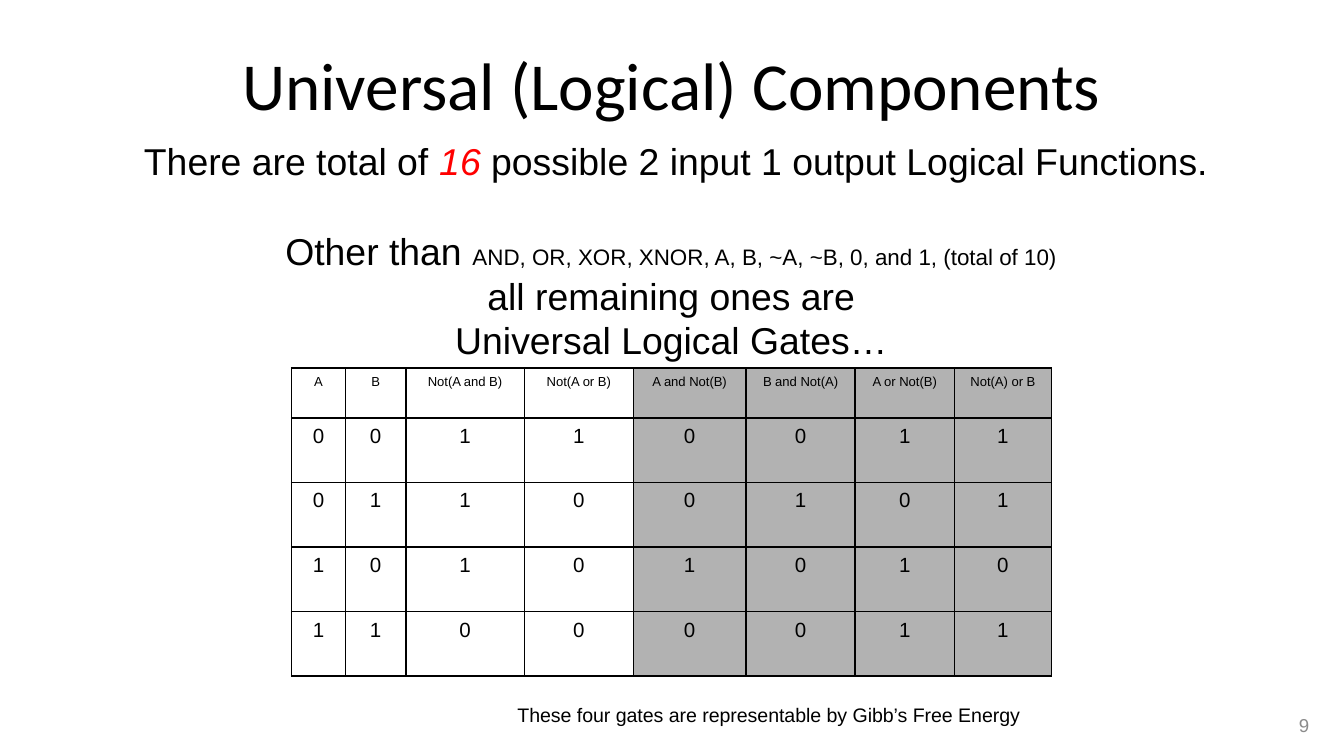
"""Build a slide on universal logical gates with their truth table."""
import lxml.etree
import pptx
import pptx.dml.color
import pptx.enum.shapes
import pptx.enum.text
import pptx.oxml.ns
import pptx.util

Cm, Pt = pptx.util.Cm, pptx.util.Pt
ALIGN = pptx.enum.text.PP_ALIGN
ANCHOR = pptx.enum.text.MSO_ANCHOR


def color(value):
    return pptx.dml.color.RGBColor.from_string(value)


def add_run(paragraph, text, size, hue="000000", font="Arial", italic=False):
    run = paragraph.add_run()
    run.text = text
    run.font.size = Pt(size)
    run.font.name = font
    run.font.italic = italic
    run.font.color.rgb = color(hue)


deck = pptx.Presentation()
deck.slide_width, deck.slide_height = Cm(25.4), Cm(14.29)
slide = deck.slides.add_slide(deck.slide_layouts[6])

labels = [
    ((4.22, 0.69, 16.94, 1.8), ALIGN.CENTER, "Universal (Logical) Components", 36, "000000", "Calibri"),
    ((24.05, 13.34, 0.94, 0.74), ALIGN.RIGHT, "9", 10, "8C8C8C", "Arial"),
    ((9.53, 13.16, 10.19, 0.71), ALIGN.LEFT,
     "These four gates are representable by Gibb’s Free Energy", 10.5, "000000", "Arial"),
]
for place, align, text, size, hue, font in labels:
    frame = slide.shapes.add_textbox(*map(Cm, place)).text_frame
    frame.word_wrap = False
    if align == ALIGN.RIGHT:
        frame.word_wrap = True
        frame.vertical_anchor = ANCHOR.MIDDLE
        frame.margin_top = frame.margin_bottom = Cm(0.25)
    frame.paragraphs[0].alignment = align
    add_run(frame.paragraphs[0], text, size, hue, font)

statement = slide.shapes.add_shape(
    pptx.enum.shapes.MSO_SHAPE.RECTANGLE, Cm(2.21), Cm(2.49), Cm(20.96), Cm(4.52))
statement.shadow.inherit = False
statement.fill.solid()
statement.fill.fore_color.rgb = color("FFFFFF")
statement.line.fill.background()
frame = statement.text_frame
frame.word_wrap = False
frame.vertical_anchor = ANCHOR.TOP
lines = [
    [(" There are total of ", 20), ("16", 20, "FF0000", "Arial", True),
     (" possible 2 input 1 output Logical Functions.", 20)],
    [("Other than ", 20), ("AND, OR, XOR, XNOR, A, B, ~A, ~B, 0, and 1, (total of 10)", 12)],
    [("all remaining ones are", 20)],
    [("Universal Logical Gates…", 20)],
]
for index, runs in enumerate(lines):
    paragraph = frame.add_paragraph() if index else frame.paragraphs[0]
    paragraph.alignment = ALIGN.CENTER
    paragraph.line_spacing = Pt(24)
    if index == 1:
        paragraph.space_before = Pt(24)
    for run in runs:
        add_run(paragraph, *run)

truth_rows = [
    ["A", "B", "Not(A and B)", "Not(A or B)", "A and Not(B)", "B and Not(A)", "A or Not(B)", "Not(A) or B"],
    "00110011",
    "01100101",
    "10101010",
    "11000011",
]
widths = [1.02, 1.14, 2.24, 2.06, 2.13, 2.06, 1.88, 1.83]
heights = [0.94] + [1.22] * 4
truth_table = slide.shapes.add_table(
    len(heights), len(widths), Cm(5.51), Cm(6.96), Cm(sum(widths)), Cm(sum(heights))).table
truth_table.first_row = truth_table.horz_banding = False
for column, width in zip(truth_table.columns, widths):
    column.width = Cm(width)
for row, height in zip(truth_table.rows, heights):
    row.height = Cm(height)

qn = pptx.oxml.ns.qn
for r, values in enumerate(truth_rows):
    for c, value in enumerate(values):
        cell = truth_table.cell(r, c)
        cell.margin_left = cell.margin_right = Cm(0.13)
        cell.margin_top = cell.margin_bottom = Cm(0.13)
        paragraph = cell.text_frame.paragraphs[0]
        paragraph.alignment = ALIGN.CENTER
        add_run(paragraph, value, 11 if r else 7)
        properties = cell._tc.get_or_add_tcPr()
        for side in ("a:lnL", "a:lnR", "a:lnT", "a:lnB"):
            border = lxml.etree.SubElement(properties, qn(side), w=str(Pt(1)))
            ink = lxml.etree.SubElement(border, qn("a:solidFill"))
            lxml.etree.SubElement(ink, qn("a:srgbClr"), val="000000")
        if c >= 4:
            cell.fill.solid()
            cell.fill.fore_color.rgb = color("B2B2B2")
        else:
            cell.fill.background()

deck.save("out.pptx")
